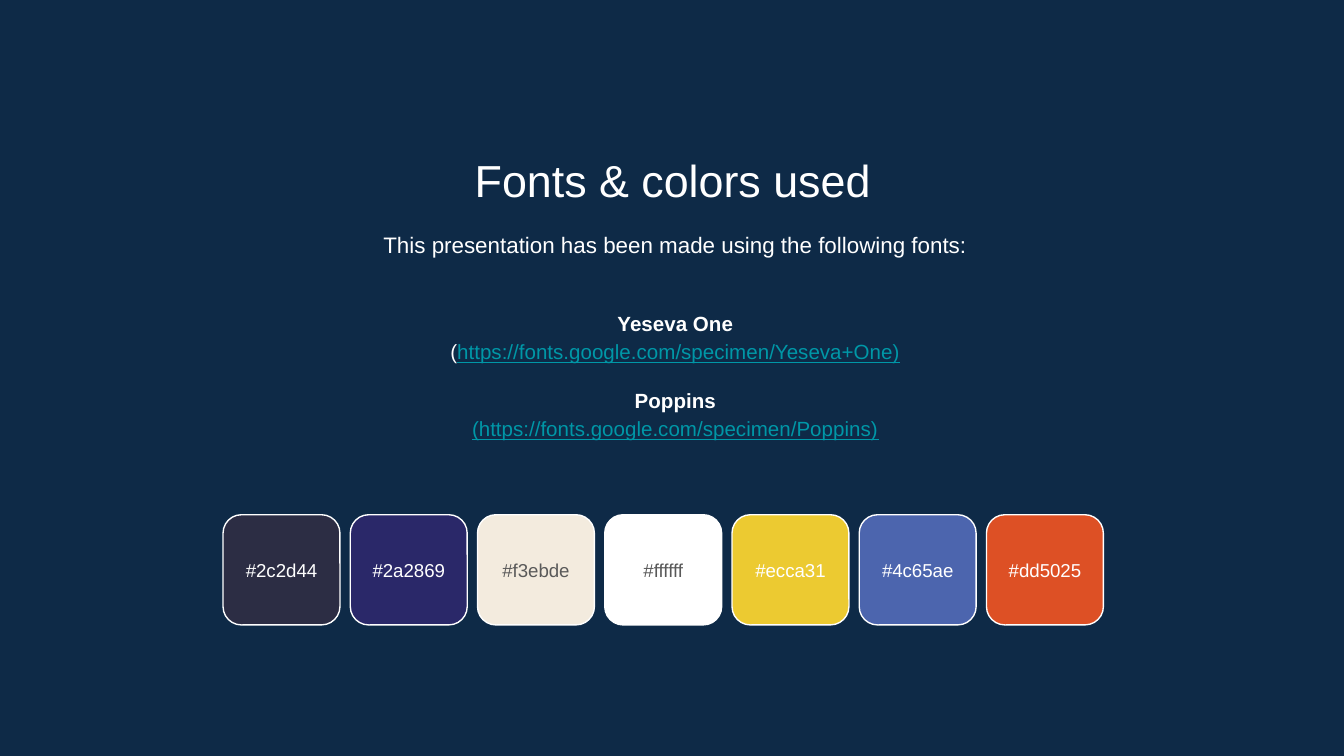
import pptx
import pptx.dml.color
import pptx.enum.shapes
import pptx.enum.text
import pptx.util

Inches = pptx.util.Inches
Pt = pptx.util.Pt
RGBColor = pptx.dml.color.RGBColor
ANCHOR = pptx.enum.text.MSO_ANCHOR

NAVY = RGBColor(0x0E, 0x2A, 0x47)
WHITE = RGBColor(0xFF, 0xFF, 0xFF)
GRAY = RGBColor(0x59, 0x59, 0x59)
TEAL = RGBColor(0x00, 0x97, 0xA7)

SLIDE_WIDTH = 10
SLIDE_HEIGHT = SLIDE_WIDTH * 9 / 16

PALETTE = [
    ("#2c2d44", WHITE),
    ("#2a2869", WHITE),
    ("#f3ebde", GRAY),
    ("#ffffff", GRAY),
    ("#ecca31", WHITE),
    ("#4c65ae", WHITE),
    ("#dd5025", WHITE),
]
FIRST_LEFT, LAST_LEFT = 1.66, 7.34
SWATCH_WIDTH, SWATCH_HEIGHT = 0.87, 0.82
PITCH = (LAST_LEFT - FIRST_LEFT) / (len(PALETTE) - 1)


class Deck:
    font_name = "Arial"
    inset = Inches(0.1)

    def __init__(self, width, height):
        self.presentation = pptx.Presentation()
        self.presentation.slide_width = Inches(width)
        self.presentation.slide_height = Inches(height)
        self.slide = self.presentation.slides.add_slide(self.presentation.slide_layouts[6])
        background = self.slide.background.fill
        background.solid()
        background.fore_color.rgb = NAVY

    def text_frame(self, shapes, left, top, width, height, anchor):
        frame = shapes.add_textbox(
            Inches(left), Inches(top), Inches(width), Inches(height)).text_frame
        frame.word_wrap = True
        frame.vertical_anchor = anchor
        frame.margin_left = frame.margin_right = self.inset
        frame.margin_top = frame.margin_bottom = self.inset
        return frame

    def style(self, paragraph, size, spacing=None):
        paragraph.alignment = pptx.enum.text.PP_ALIGN.CENTER
        paragraph.line_spacing = spacing
        paragraph.font.name = self.font_name
        paragraph.font.size = Pt(size)

    def line(self, shapes, text, box, size, color=WHITE, spacing=None, anchor=ANCHOR.TOP):
        paragraph = self.text_frame(shapes, *box, anchor).paragraphs[0]
        paragraph.text = text
        self.style(paragraph, size, spacing)
        paragraph.font.color.rgb = color

    def font_list(self, entries, box, size, spacing, gap):
        frame = self.text_frame(self.slide.shapes, *box, ANCHOR.MIDDLE)
        for index, (family, prefix, address) in enumerate(entries):
            heading = frame.add_paragraph() if index else frame.paragraphs[0]
            heading.text = family
            self.style(heading, size, spacing)
            heading.font.bold = True
            heading.font.color.rgb = WHITE
            if index:
                heading.space_before = Pt(gap)
            source = frame.add_paragraph()
            self.style(source, size, spacing)
            if prefix:
                opening = source.add_run()
                opening.text = prefix
                opening.font.color.rgb = WHITE
            link = source.add_run()
            link.text = address
            link.font.color.rgb = TEAL
            link.font.underline = True

    def swatch(self, shapes, left, top, code, text_color):
        tile = shapes.add_shape(
            pptx.enum.shapes.MSO_SHAPE.ROUNDED_RECTANGLE,
            Inches(left), Inches(top), Inches(SWATCH_WIDTH), Inches(SWATCH_HEIGHT))
        tile.shadow.inherit = False
        tile.fill.solid()
        tile.fill.fore_color.rgb = RGBColor.from_string(code[1:].upper())
        tile.line.color.rgb = WHITE
        tile.line.width = Pt(0.75)
        self.line(shapes, code, (left, top + 0.17, SWATCH_WIDTH, 0.48), 10,
                  color=text_color, anchor=ANCHOR.MIDDLE)


def main():
    deck = Deck(SLIDE_WIDTH, SLIDE_HEIGHT)
    shapes = deck.slide.shapes
    deck.line(shapes, "Fonts & colors used", (1.15, 1.04, 7.71, 0.53), 24)
    deck.line(shapes, "This presentation has been made using the following fonts:",
              (1.17, 1.59, 7.71, 0.48), 12, spacing=1.15)
    deck.font_list(
        [("Yeseva One", "(", "https://fonts.google.com/specimen/Yeseva+One)"),
         ("Poppins", "", "(https://fonts.google.com/specimen/Poppins)")],
        (1.17, 2.1, 7.71, 1.37), size=11, spacing=1.15, gap=11)
    palette_group = shapes.add_group_shape()
    for index, (code, text_color) in enumerate(PALETTE):
        deck.swatch(palette_group.shapes, FIRST_LEFT + index * PITCH, 3.83, code, text_color)
    deck.presentation.save("out.pptx")


if __name__ == "__main__":
    main()
